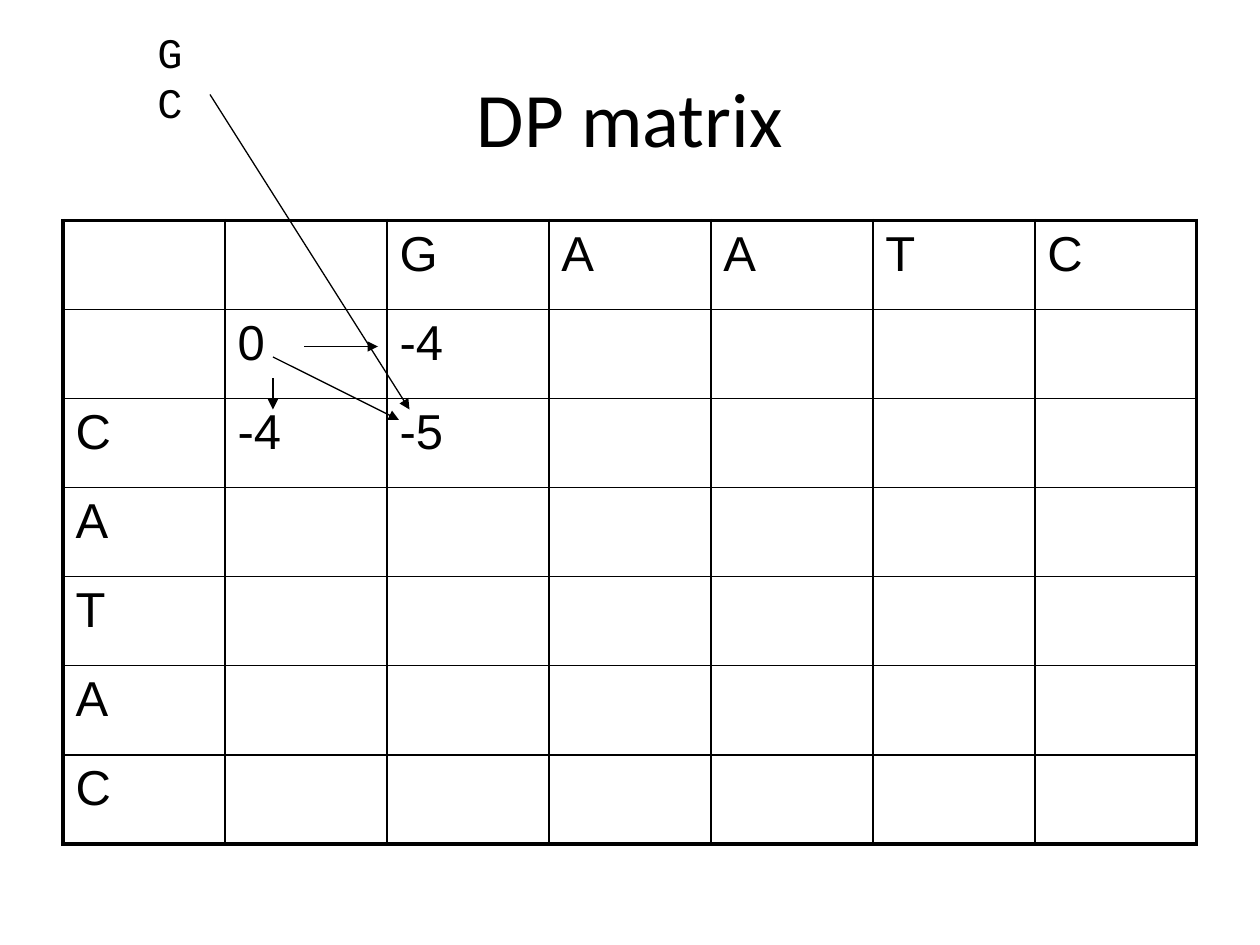
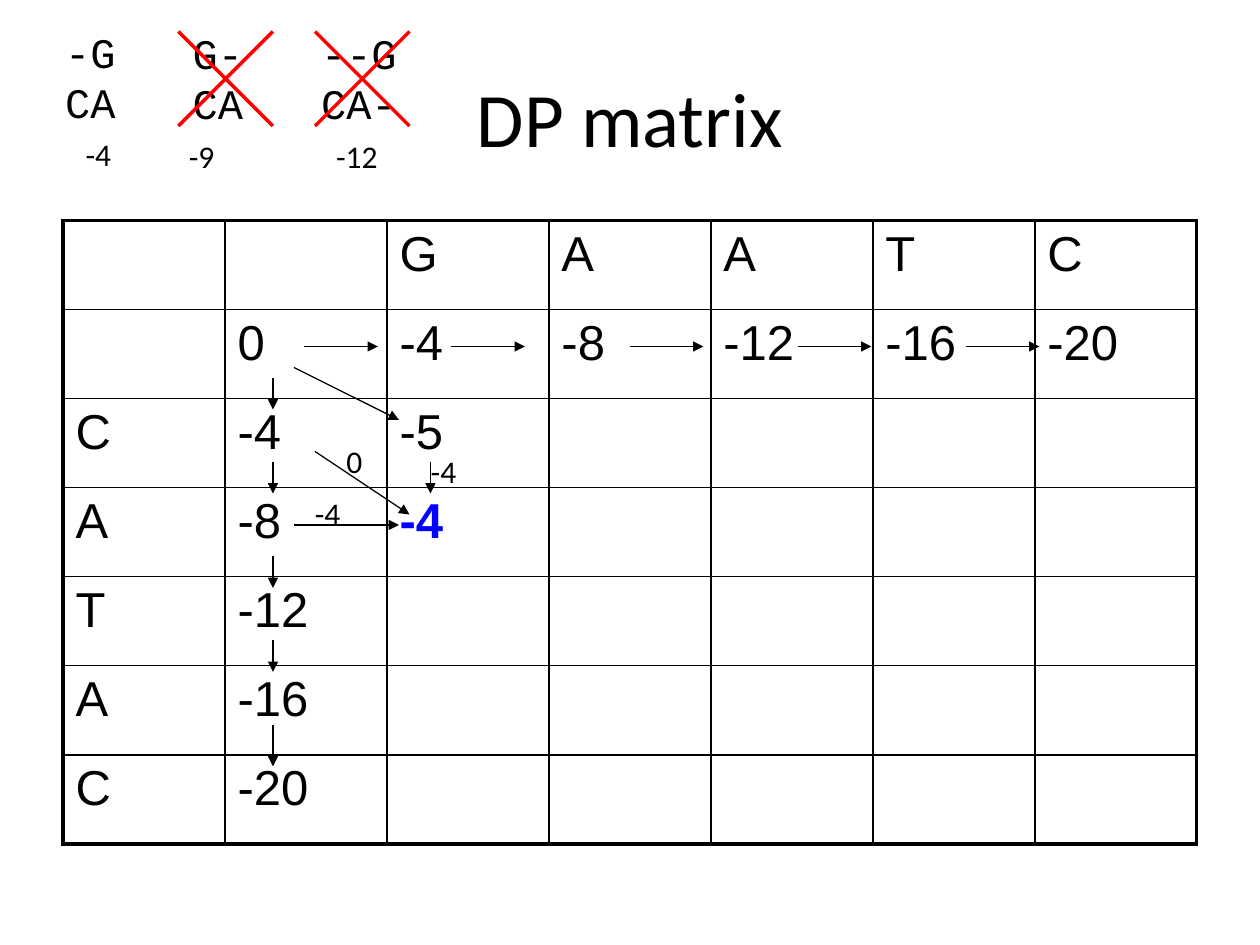
import pptx
import pptx.util
import pptx.dml.color
import pptx.enum.shapes
import pptx.enum.text
import pptx.oxml
import pptx.oxml.ns

Pt = pptx.util.Pt
BLACK = pptx.dml.color.RGBColor(0x00, 0x00, 0x00)
RED = pptx.dml.color.RGBColor(0xFF, 0x00, 0x00)
BLUE = pptx.dml.color.RGBColor(0x00, 0x00, 0xFF)

ACROSS, DOWN = "GAATC", "CATAC"
SIDE = len(ACROSS) + 2
GAP = -4
TABLE_LEFT, TABLE_TOP, TABLE_WIDTH, ROW_HEIGHT = 36, 126, 648, 50.91
THIN, THICK = 1, 2.25

# Arrow rules: starts and ends along the zero row and the zero column
ROW_Y, ROW_STARTS, ROW_ARROW = 198, (174, 258, 360, 456, 552), 42
COLUMN_X = 156
COLUMN_SPANS = ((216, 234), (264, 282), (318, 336), (366, 384), (414, 438))


def write(tf, text, font="Calibri", size=18, color=BLACK, bold=False, align=None):
    """Fill a text frame, one paragraph for each line of text."""
    for i, line in enumerate(text.split("\n")):
        p = tf.paragraphs[0] if i == 0 else tf.add_paragraph()
        p.alignment = align
        r = p.add_run()
        r.text = line
        r.font.name, r.font.size = font, Pt(size)
        r.font.color.rgb, r.font.bold = color, bold


class Deck:
    def __init__(self):
        self.prs = pptx.Presentation()
        self.prs.slide_width, self.prs.slide_height = Pt(720), Pt(540)
        self.s = None

    def slide(self, title):
        self.s = self.prs.slides.add_slide(self.prs.slide_layouts[6])
        tf = self.s.shapes.add_textbox(Pt(36), Pt(21.6), Pt(648), Pt(90)).text_frame
        tf.word_wrap = True
        tf.vertical_anchor = pptx.enum.text.MSO_ANCHOR.MIDDLE
        write(tf, title, size=44, align=pptx.enum.text.PP_ALIGN.CENTER)

    def label(self, text, x, y, w, h=28.8, **style):
        tf = self.s.shapes.add_textbox(Pt(x), Pt(y), Pt(w), Pt(h)).text_frame
        tf.word_wrap = False
        tf.auto_size = pptx.enum.text.MSO_AUTO_SIZE.SHAPE_TO_FIT_TEXT
        write(tf, text, **style)

    def alignment(self, text, x, y, w):
        self.label(text, x, y, w, 64.8, font="Courier New", size=24)

    def line(self, x1, y1, x2, y2, color=BLACK, width=0.75):
        sp = self.s.shapes.add_connector(
            pptx.enum.shapes.MSO_CONNECTOR.STRAIGHT, Pt(x1), Pt(y1), Pt(x2), Pt(y2))
        sp.line.color.rgb, sp.line.width = color, Pt(width)
        props = sp._element.spPr
        props.append(pptx.oxml.parse_xml(
            "<a:effectLst %s/>" % pptx.oxml.ns.nsdecls("a")))
        return sp

    def arrow(self, *ends):
        sp = self.line(*ends)
        sp.line._get_or_add_ln().append(pptx.oxml.parse_xml(
            '<a:tailEnd type="triangle" %s/>' % pptx.oxml.ns.nsdecls("a")))

    def cross(self, x, y, size=54):
        self.line(x, y, x + size, y + size, RED, 2)
        self.line(x + size, y, x, y + size, RED, 2)

    def borders(self, cell, row, col):
        last = SIDE - 1
        edges = (("L", col == 0), ("R", col == last), ("T", row == 0), ("B", row == last))
        for i, (side, outer) in enumerate(edges):
            cell._tc.get_or_add_tcPr().insert(i, pptx.oxml.parse_xml(
                '<a:ln%s w="%d" %s><a:solidFill><a:srgbClr val="%s"/></a:solidFill></a:ln%s>'
                % (side, Pt(THICK if outer else THIN),
                   pptx.oxml.ns.nsdecls("a"), BLACK, side)))

    def matrix(self, values, best=None):
        """Draw the matrix; values maps (row, column) to the cell text."""
        table = self.s.shapes.add_table(
            SIDE, SIDE, Pt(TABLE_LEFT), Pt(TABLE_TOP),
            Pt(TABLE_WIDTH), Pt(ROW_HEIGHT * SIDE)).table
        table.first_row = table.horz_banding = False
        for i in range(SIDE):
            table.columns[i].width = Pt(TABLE_WIDTH / SIDE)
            table.rows[i].height = Pt(ROW_HEIGHT)
        for row in range(SIDE):
            for col in range(SIDE):
                cell = table.cell(row, col)
                cell.fill.background()
                self.borders(cell, row, col)
                if (row, col) in values:
                    chosen = (row, col) == best
                    write(cell.text_frame, values[row, col], font="Arial", size=28,
                          color=BLUE if chosen else BLACK, bold=chosen)

    def gap_arrows(self, steps):
        for x in ROW_STARTS[:steps]:
            self.arrow(x, ROW_Y, x + ROW_ARROW, ROW_Y)
        for top, bottom in COLUMN_SPANS[:steps]:
            self.arrow(COLUMN_X, top, COLUMN_X, bottom)


def scores(steps):
    """Sequence letters, gap scores for the given steps, and the first match."""
    values = {(0, i + 2): letter for i, letter in enumerate(ACROSS)}
    values.update({(i + 2, 0): letter for i, letter in enumerate(DOWN)})
    for i in range(steps + 1):
        values[1, i + 1] = values[i + 1, 1] = str(GAP * i)
    values[2, 2] = "-5"
    return values


def main():
    deck = Deck()

    # Slide 1: first diagonal step
    deck.slide("DP matrix")
    deck.matrix(scores(1))
    deck.arrow(156, 204, 228, 240)
    deck.alignment("G\nC", 82.8, 11.5, 28.8)
    deck.arrow(120, 54, 234, 234)
    deck.gap_arrows(1)

    # Slide 2: gap row and column filled, next cell chosen
    deck.slide("DP matrix")
    deck.matrix({**scores(5), (3, 2): "-4"}, best=(3, 2))

    # Three ways into the chosen cell, with their scores
    for ends in ((168, 300, 228, 300), (180, 258, 234, 294), (246, 264, 246, 282)):
        deck.arrow(*ends)
    for text, x, y, w in (("-4", 172.8, 278.6, 30.2), ("0", 190.8, 249.1, 24.5),
                          ("-4", 239, 254.9, 30.2)):
        deck.label(text, x, y, w)

    # Candidate alignments, the rejected ones crossed out
    for text, x, y, w in (("-G\nCA", 30.2, 11.5, 43.2), ("G-\nCA", 103, 12.2, 43.2),
                          ("--G\nCA-", 176.4, 12.2, 57.6)):
        deck.alignment(text, x, y, w)
    for x in (180, 102):
        deck.cross(x, 18)
    for text, x, y, w in (("-4", 41.8, 73.4, 30.2), ("-9", 100.8, 74.9, 30.2),
                          ("-12", 185, 74.9, 40.3)):
        deck.label(text, x, y, w)

    deck.gap_arrows(5)
    deck.arrow(168, 210, 228, 240)

    deck.prs.save("out.pptx")


if __name__ == "__main__":
    main()
